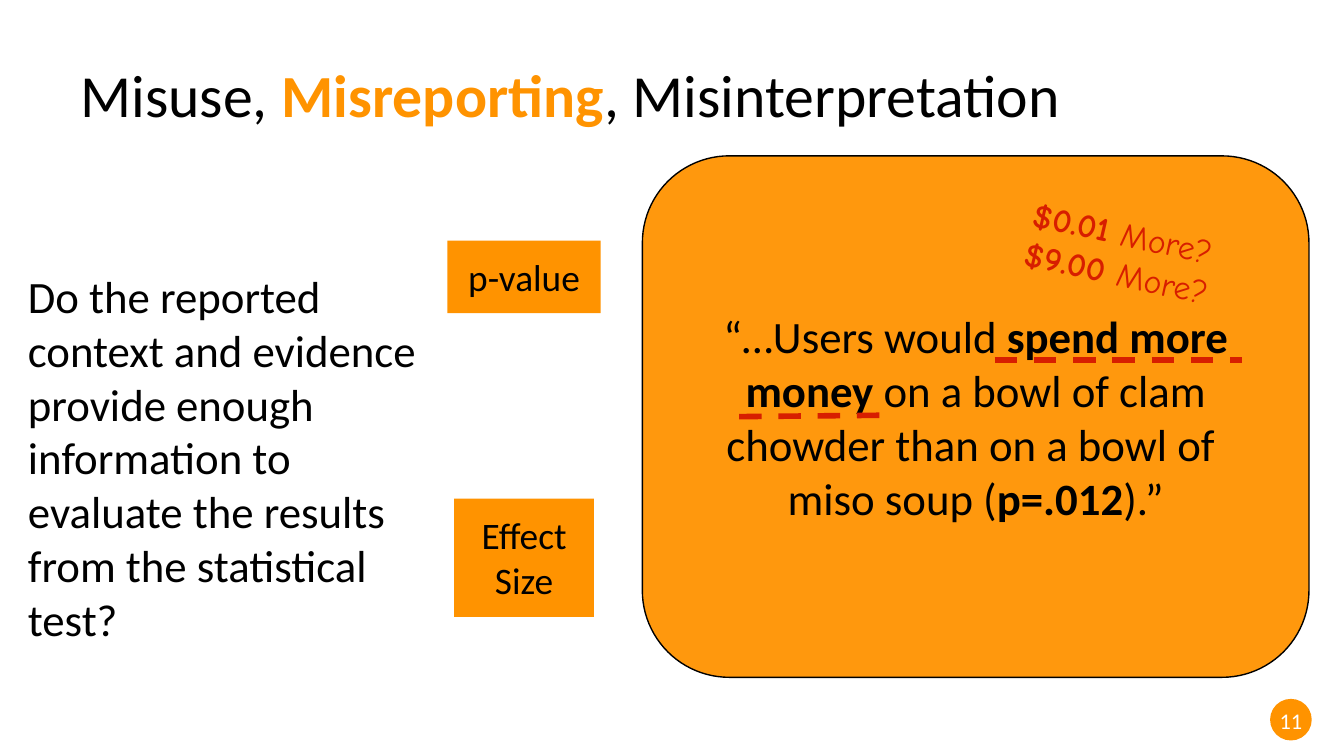
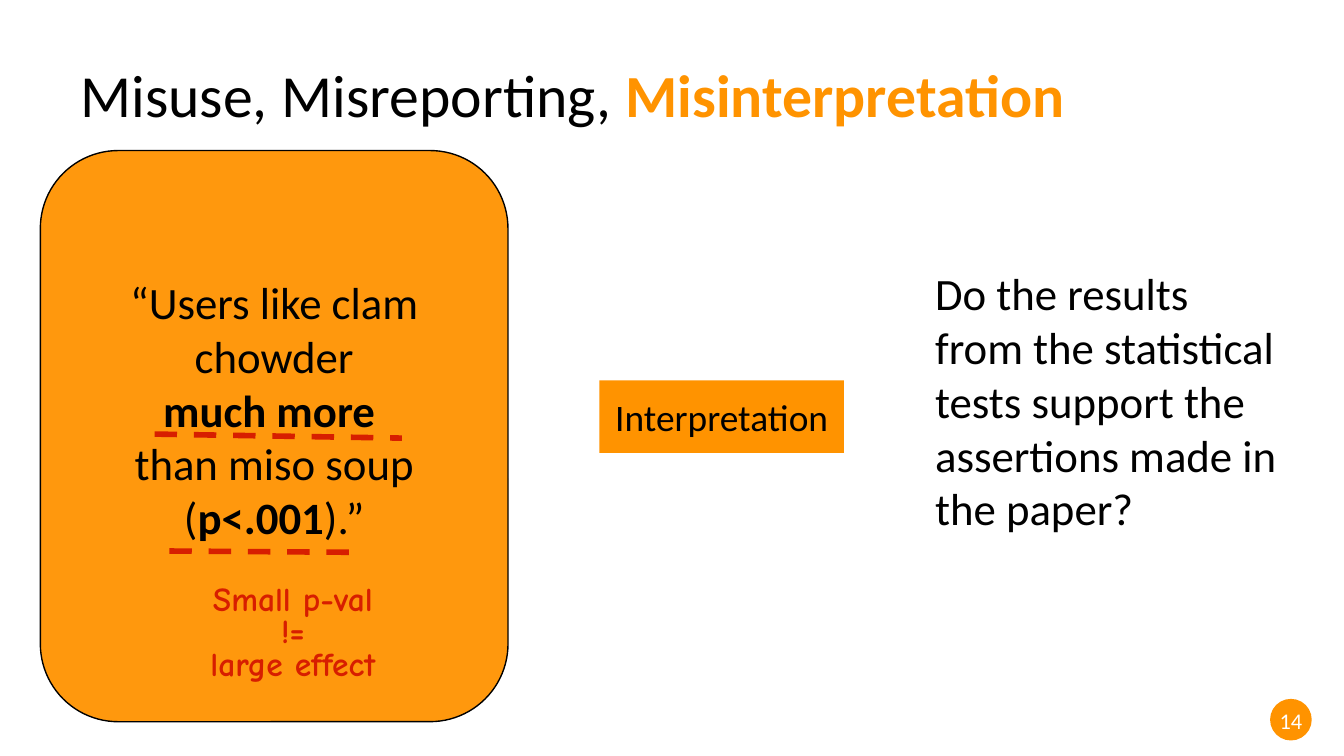
from lxml import etree
from pptx import Presentation
from pptx import util as u
from pptx.dml.color import RGBColor
from pptx.enum import dml, shapes, text
from pptx.oxml.ns import qn

# Grid of 100 columns by 56.25 rows, each cell a tenth of an inch
CELL = 0.1
COLUMNS, ROWS = 100, 56.25
COLORS = {"accent": "FF9300", "ink": "000000", "mark": "D71E00", "paper": "FFFFFF"}
BODY, HAND = "Calibri", "Comic Neue"
TOPICS = ["Misuse", "Misreporting", "Misinterpretation"]

# Paragraphs are lists of (text, bold) spans; places are column, row, width, height
SLIDES = [
    {
        "number": "11",
        "topic": "Misreporting",
        "question": ("Do the reported context and evidence provide enough information "
                     "to evaluate the results from the statistical test?", (1.1, 19, 31, 30.3)),
        "labels": [("Effect Size", (33.8, 37.1, 10.4, 8.8)),
                   ("p-value", (33.3, 17.9, 11.4, 5.4))],
        "quote": [[("“…Users would ", False), ("spend more money", True),
                   (" on a bowl of clam chowder than on a bowl of \nmiso soup (", False),
                   ("p=.012", True), (").”", False)]],
        "card": (47.8, 11.6, 49.6, 38.8),
        "card_bottom": 1,
        "note": [[("$0.01 ", True), ("More?\n", False), ("$9.00 ", True), ("More?", False)]],
        "note_place": (75.4, 15.2, 19.8, 8.1),
        "note_format": {"rotation": 12.2},
        "underlines": [(74, 26.8, 92.4, 26.8), (55, 31, 65.6, 30.9)],
    },
    {
        "number": "14",
        "topic": "Misinterpretation",
        "question": ("Do the results from the statistical tests support the assertions "
                     "made in the paper?", (68.6, 18.8, 27.7, 22.2)),
        "labels": [("Interpretation", (44.6, 28.3, 18.2, 5.4))],
        "quote": [[("“Users like clam chowder\n", False), ("much more \n", True),
                   ("than miso soup (", False), ("p<.001", True), (").”", False)]],
        "card": (3, 11.2, 34.8, 42.5),
        "card_bottom": 5,
        "note": [[("Small p-val", True)], [("!=", True)], [("large effect", True)]],
        "note_place": (12.3, 42.6, 19, 9.3),
        "note_format": {"align": "CENTER", "spacing": 0.8},
        "underlines": [(11.5, 32.3, 29.9, 32.6), (12.6, 41, 27, 41.1)],
    },
]


def cells(values):
    return [u.Inches(value * CELL) for value in values]


def color(name):
    return RGBColor.from_string(COLORS[name])


def write(box, paragraphs, size=24, font=BODY, ink="ink", align="LEFT", anchor="TOP",
          spacing=None, inset=1, bottom=None, rotation=0):
    """Fill a box with paragraphs of (text, bold[, colour]) spans."""
    box.rotation = rotation
    frame = box.text_frame
    frame.word_wrap = True
    frame.vertical_anchor = getattr(text.MSO_ANCHOR, anchor)
    frame.margin_left = frame.margin_right = u.Inches(CELL)
    frame.margin_top = u.Inches(inset * CELL)
    frame.margin_bottom = u.Inches((inset if bottom is None else bottom) * CELL)
    for index, spans in enumerate(paragraphs):
        para = frame.add_paragraph() if index else frame.paragraphs[0]
        para.alignment = getattr(text.PP_ALIGN, align)
        if spacing:
            para.line_spacing = spacing
        for content, bold, *tint in spans:
            for line_index, line in enumerate(content.split("\n")):
                if line_index:
                    para.add_line_break()
                if not line:
                    continue
                span = para.add_run()
                span.text = line
                span.font.name, span.font.size = font, u.Pt(size)
                span.font.bold = bold
                span.font.color.rgb = color(tint[0] if tint else ink)


def add_text(page, place, paragraphs, **style):
    write(page.shapes.add_textbox(*cells(place)), paragraphs, **style)


def add_block(page, kind, place, outlined=False, alpha=None):
    block = page.shapes.add_shape(getattr(shapes.MSO_SHAPE, kind), *cells(place))
    block.shadow.inherit = False
    block.fill.solid()
    block.fill.fore_color.rgb = color("accent")
    if alpha:
        tint = block._element.spPr.find(qn("a:solidFill"))[0]
        etree.SubElement(tint, qn("a:alpha")).set("val", str(alpha * 1000))
    if outlined:
        block.line.color.rgb = color("ink")
        block.line.width = u.Pt(0.75)
    else:
        block.line.fill.background()
    return block


def add_underline(page, ends):
    line = page.shapes.add_connector(shapes.MSO_CONNECTOR.STRAIGHT, *cells(ends))
    line.line.color.rgb = color("mark")
    line.line.width = u.Pt(3)
    line.line.dash_style = dml.MSO_LINE.DASH
    etree.SubElement(line._element.spPr, qn("a:effectLst"))


def add_frame(page, number, topic):
    """Page badge and title with the current topic highlighted."""
    add_block(page, "OVAL", (94.5, 52, 3.1, 3.1))
    add_text(page, (93.1, 52.1, 5.9, 3), [[(number, False)]],
             size=12, ink="paper", align="CENTER", inset=0.5)
    title = []
    for index, name in enumerate(TOPICS):
        if index:
            title.append((", ", False))
        current = name == topic
        title.append((name, current, "accent" if current else "ink"))
    add_text(page, (5, 2.3, 90, 9.4), [title], size=32, anchor="MIDDLE", inset=0.5)


def build_slide(deck, content):
    page = deck.slides.add_slide(deck.slide_layouts[6])
    page.background.fill.solid()
    page.background.fill.fore_color.rgb = color("paper")
    add_frame(page, content["number"], content["topic"])

    # Question and labels
    question, place = content["question"]
    add_text(page, place, [[(question, False)]])
    for label, place in content["labels"]:
        write(add_block(page, "RECTANGLE", place), [[(label, False)]], size=20, align="CENTER")

    # Quote card with handwritten remarks
    card = add_block(page, "ROUNDED_RECTANGLE", content["card"], outlined=True, alpha=95)
    write(card, content["quote"], align="CENTER", anchor="MIDDLE",
          bottom=content["card_bottom"])
    add_text(page, content["note_place"], content["note"], size=18, font=HAND,
             ink="mark", **content["note_format"])
    for ends in content["underlines"]:
        add_underline(page, ends)


def main():
    deck = Presentation()
    deck.slide_width, deck.slide_height = cells((COLUMNS, ROWS))
    for content in SLIDES:
        build_slide(deck, content)
    deck.save("out.pptx")


if __name__ == "__main__":
    main()
